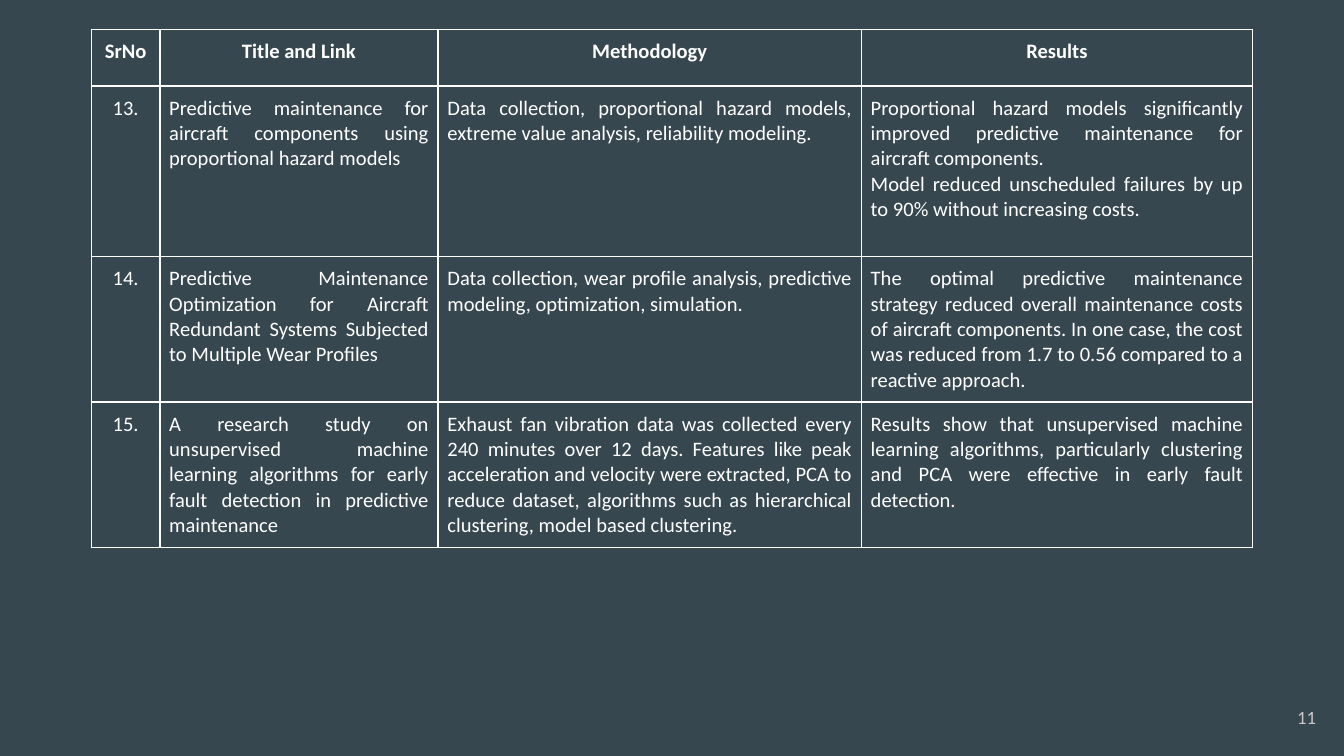
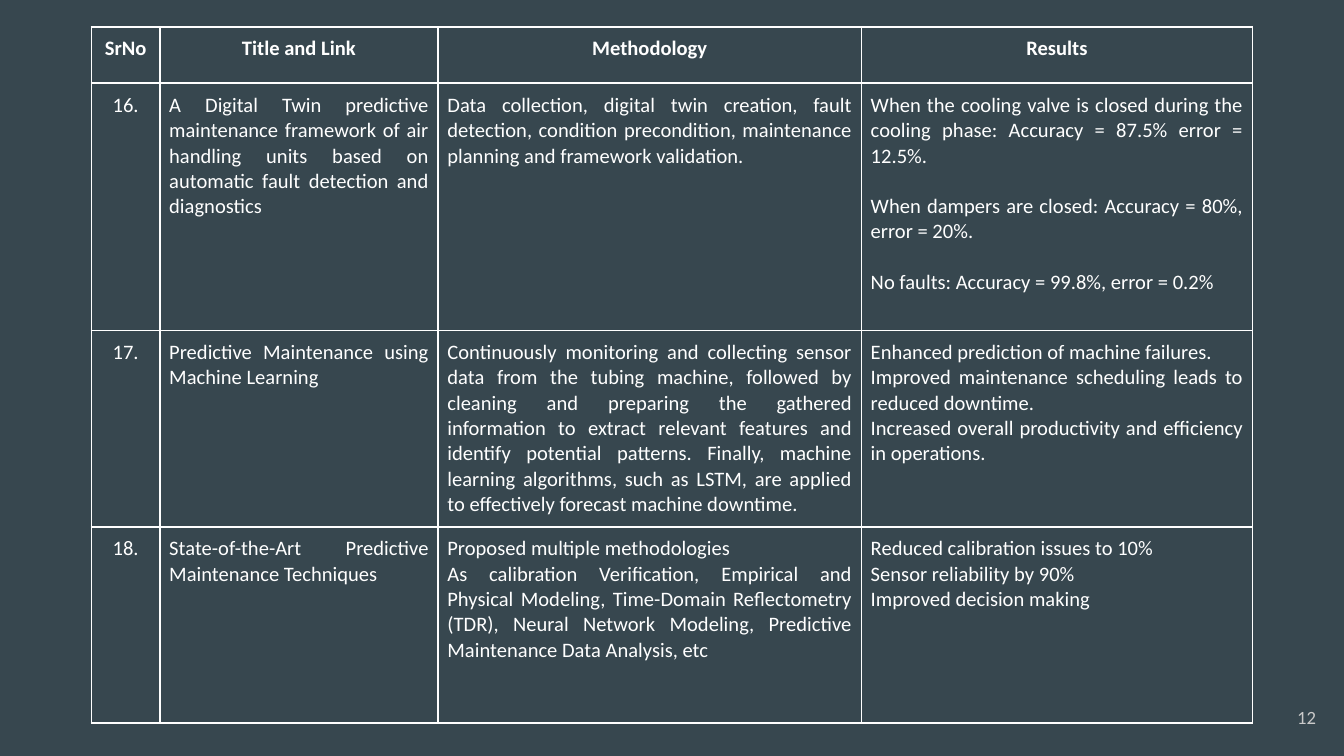
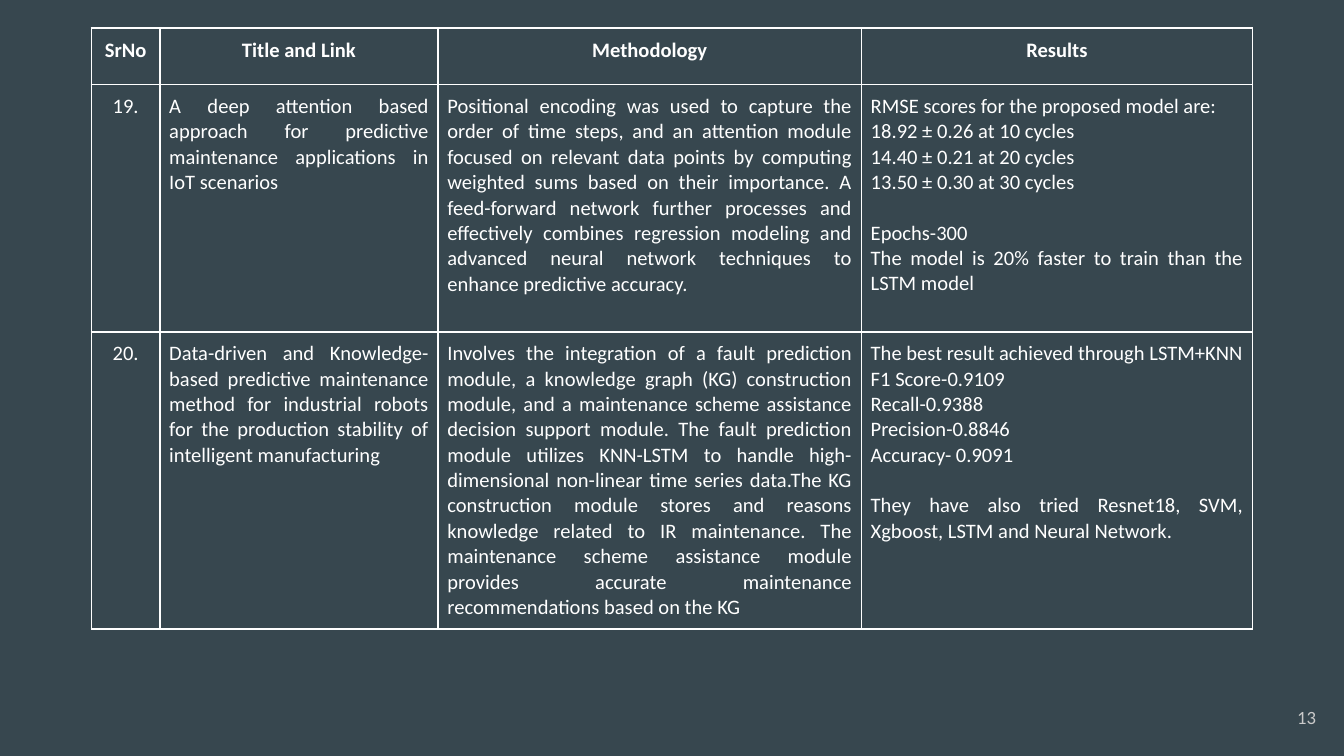
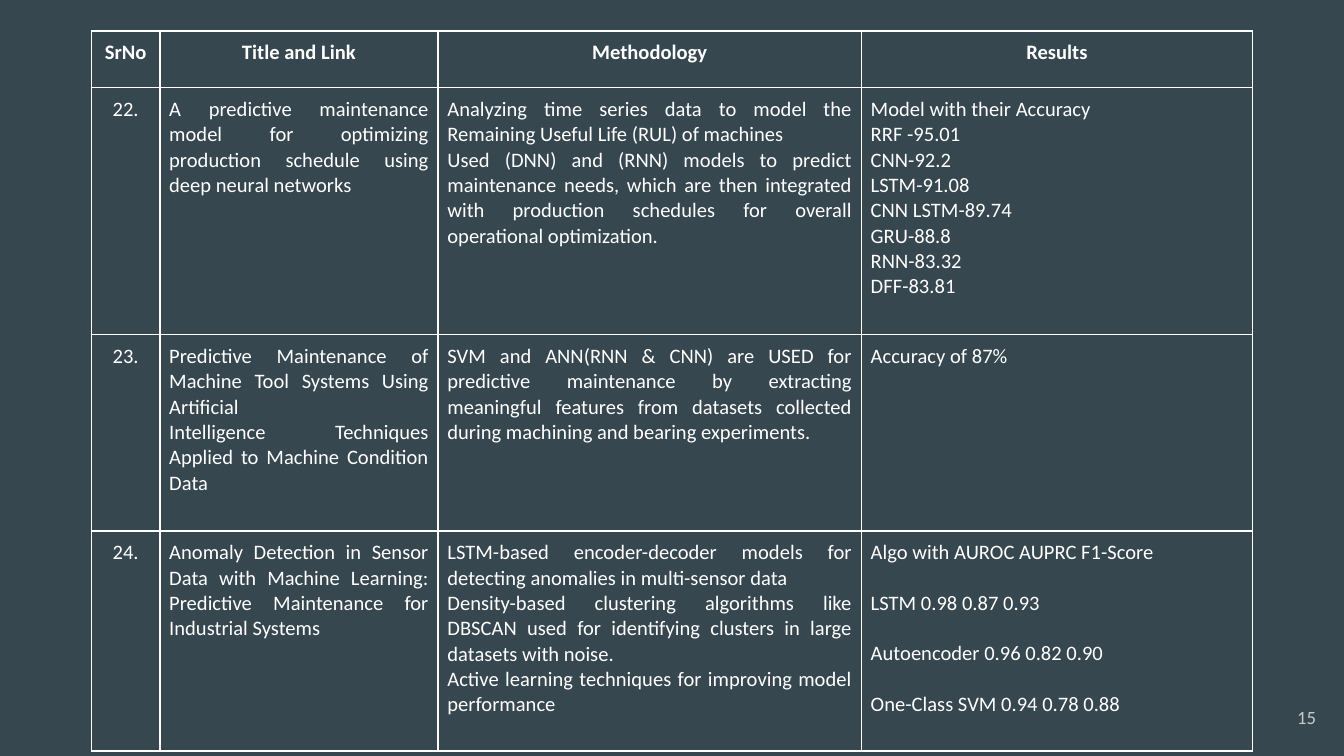
from dataclasses import dataclass

from lxml import etree
from pptx import Presentation
from pptx.dml.color import RGBColor
from pptx.enum.text import MSO_ANCHOR, PP_ALIGN
from pptx.oxml.ns import qn
from pptx.util import Inches, Pt

CENTER, JUSTIFY, RIGHT = PP_ALIGN.CENTER, PP_ALIGN.JUSTIFY, PP_ALIGN.RIGHT
MIDDLE = MSO_ANCHOR.MIDDLE
BLANK_LAYOUT = 6


@dataclass(frozen=True)
class Theme:
    background: str = "37474F"
    text: str = "FFFFFF"
    border: str = "FFFFFF"
    page_number: str = "CACACA"
    font: str = "Calibri"
    table_size: float = 11
    page_number_size: float = 10
    group_gap: float = 13.5
    border_width: float = 1
    cell_margin: float = 5


THEME = Theme()
PAGE_WIDTH = 10
PAGE_HEIGHT = PAGE_WIDTH * 9 / 16
TABLE_LEFT = 0.68
PAGE_NUMBER_BOX = (9.29, 5.12, 0.6, 0.43)
COLUMN_WIDTHS = (0.51, 2.07, 3.15, 2.91)
HEADER_HEIGHT = 0.42
HEADINGS = ("SrNo", "Title and Link", "Methodology", "Results")


@dataclass(frozen=True)
class Study:
    """One table row; a newline starts a paragraph, a double one a spaced group."""
    number: int
    height: float
    title: str
    methodology: str
    results: str


@dataclass(frozen=True)
class SurveyPage:
    number: int
    table_top: float
    studies: tuple


PAGES = (
    SurveyPage(11, 0.22, (
        Study(
            13, 1.27,
            "Predictive maintenance for aircraft components using proportional "
            "hazard models",
            "Data collection, proportional hazard models, extreme value analysis, "
            "reliability modeling.",
            "Proportional hazard models significantly improved predictive "
            "maintenance for aircraft components.\n"
            "Model reduced unscheduled failures by up to 90% without increasing "
            "costs."),
        Study(
            14, 1.08,
            "Predictive Maintenance Optimization for Aircraft Redundant Systems "
            "Subjected to Multiple Wear Profiles",
            "Data collection, wear profile analysis, predictive modeling, "
            "optimization, simulation.",
            "The optimal predictive maintenance strategy reduced overall "
            "maintenance costs of aircraft components. In one case, the cost was "
            "reduced from 1.7 to 0.56 compared to a reactive approach."),
        Study(
            15, 1.08,
            "A research study on unsupervised machine learning algorithms for "
            "early fault detection in predictive maintenance",
            "Exhaust fan vibration data was collected every 240 minutes over 12 "
            "days. Features like peak acceleration and velocity were extracted, "
            "PCA to reduce dataset, algorithms such as hierarchical clustering, "
            "model based clustering.",
            "Results show that unsupervised machine learning algorithms, "
            "particularly clustering and PCA were effective in early fault "
            "detection."),
    )),
    SurveyPage(12, 0.2, (
        Study(
            16, 1.84,
            "A Digital Twin predictive maintenance framework of air handling "
            "units based on automatic fault detection and diagnostics",
            "Data collection, digital twin creation, fault detection, condition "
            "precondition, maintenance planning and framework validation.",
            "When the cooling valve is closed during the cooling phase: "
            "Accuracy = 87.5% error = 12.5%.\n\n"
            "When dampers are closed: Accuracy = 80%, error = 20%.\n\n"
            "No faults: Accuracy = 99.8%, error = 0.2%"),
        Study(
            17, 1.46,
            "Predictive Maintenance using Machine Learning",
            "Continuously monitoring and collecting sensor data from the tubing "
            "machine, followed by cleaning and preparing the gathered information "
            "to extract relevant features and identify potential patterns. "
            "Finally, machine learning algorithms, such as LSTM, are applied to "
            "effectively forecast machine downtime.",
            "Enhanced prediction of machine failures.\n"
            "Improved maintenance scheduling leads to reduced downtime.\n"
            "Increased overall productivity and efficiency in operations."),
        Study(
            18, 1.46,
            "State-of-the-Art Predictive Maintenance Techniques",
            "Proposed multiple methodologies\n"
            "As calibration Verification, Empirical and Physical Modeling, "
            "Time-Domain Reflectometry (TDR), Neural Network Modeling, Predictive "
            "Maintenance Data Analysis, etc",
            "Reduced calibration issues to 10%\n"
            "Sensor reliability by 90%\n"
            "Improved decision making"),
    )),
    SurveyPage(13, 0.21, (
        Study(
            19, 1.84,
            "A deep attention based approach for predictive maintenance "
            "applications in IoT scenarios",
            "Positional encoding was used to capture the order of time steps, and "
            "an attention module focused on relevant data points by computing "
            "weighted sums based on their importance. A feed-forward network "
            "further processes and effectively combines regression modeling and "
            "advanced neural network techniques to enhance predictive accuracy.",
            "RMSE scores for the proposed model are:\n"
            "18.92 ± 0.26 at 10 cycles\n"
            "14.40 ± 0.21 at 20 cycles\n"
            "13.50 ± 0.30 at 30 cycles\n\n"
            "Epochs-300\n"
            "The model is 20% faster to train than the LSTM model"),
        Study(
            20, 2.21,
            "Data-driven and Knowledge-based predictive maintenance method for "
            "industrial robots for the production stability of intelligent "
            "manufacturing",
            "Involves the integration of a fault prediction module, a knowledge "
            "graph (KG) construction module, and a maintenance scheme assistance "
            "decision support module. The fault prediction module utilizes "
            "KNN-LSTM to handle high-dimensional non-linear time series data.The "
            "KG construction module stores and reasons knowledge related to IR "
            "maintenance. The maintenance scheme assistance module provides "
            "accurate maintenance recommendations based on the KG",
            "The best result achieved through LSTM+KNN\n"
            "F1 Score-0.9109\n"
            "Recall-0.9388\n"
            "Precision-0.8846\n"
            "Accuracy- 0.9091\n\n"
            "They have also tried Resnet18, SVM, Xgboost, LSTM and Neural "
            "Network."),
    )),
    SurveyPage(15, 0.23, (
        Study(
            22, 1.84,
            "A predictive maintenance model for optimizing production schedule "
            "using deep neural networks",
            "Analyzing time series data to model the Remaining Useful Life (RUL) "
            "of machines\n"
            "Used (DNN) and (RNN) models to predict maintenance needs, which are "
            "then integrated with production schedules for overall operational "
            "optimization.",
            "Model with their Accuracy\n"
            "RRF -95.01\n"
            "CNN-92.2\n"
            "LSTM-91.08\n"
            "CNN LSTM-89.74\n"
            "GRU-88.8\n"
            "RNN-83.32\n"
            "DFF-83.81"),
        Study(
            23, 1.46,
            "Predictive Maintenance of Machine Tool Systems Using Artificial\n"
            "Intelligence Techniques Applied to Machine Condition Data",
            "SVM and ANN(RNN & CNN) are USED for predictive maintenance by "
            "extracting meaningful features from datasets collected during "
            "machining and bearing experiments.",
            "Accuracy of 87%"),
        Study(
            24, 1.64,
            "Anomaly Detection in Sensor Data with Machine Learning: Predictive "
            "Maintenance for Industrial Systems",
            "LSTM-based encoder-decoder models for detecting anomalies in "
            "multi-sensor data\n"
            "Density-based clustering algorithms like DBSCAN used for identifying "
            "clusters in large datasets with noise.\n"
            "Active learning techniques for improving model performance",
            "Algo with AUROC AUPRC F1-Score\n\n"
            "LSTM 0.98 0.87 0.93\n\n"
            "Autoencoder 0.96 0.82 0.90\n\n"
            "One-Class SVM 0.94 0.78 0.88"),
    )),
)


def write_text(frame, text, align, size, color, bold=False):
    first = True
    for group in text.split("\n\n"):
        for position, line in enumerate(group.split("\n")):
            para = frame.paragraphs[0] if first else frame.add_paragraph()
            para.text = line
            para.alignment = align
            if position == 0 and not first:
                para.space_before = Pt(THEME.group_gap)
            para.font.name = THEME.font
            para.font.size = Pt(size)
            para.font.bold = bold
            para.font.color.rgb = RGBColor.from_string(color)
            first = False


def set_borders(cell):
    properties = cell._tc.get_or_add_tcPr()
    for side in ("a:lnL", "a:lnR", "a:lnT", "a:lnB"):
        line = etree.SubElement(properties, qn(side), w=str(Pt(THEME.border_width)))
        fill = etree.SubElement(line, qn("a:solidFill"))
        etree.SubElement(fill, qn("a:srgbClr"), val=THEME.border)


def fill_cell(cell, text, align, bold):
    set_borders(cell)
    cell.fill.background()
    margin = Pt(THEME.cell_margin)
    cell.margin_left = cell.margin_right = margin
    cell.margin_top = cell.margin_bottom = margin
    write_text(cell.text_frame, text, align, THEME.table_size, THEME.text, bold)


def add_study_table(page, left, top, studies):
    rows = [HEADINGS] + [
        (f"{study.number}.", study.title, study.methodology, study.results)
        for study in studies]
    heights = [HEADER_HEIGHT] + [study.height for study in studies]
    table = page.shapes.add_table(
        len(rows), len(HEADINGS), Inches(left), Inches(top),
        Inches(sum(COLUMN_WIDTHS)), Inches(sum(heights))).table
    table.horz_banding = False
    for column, width in zip(table.columns, COLUMN_WIDTHS):
        column.width = Inches(width)
    for row_index, (texts, height) in enumerate(zip(rows, heights)):
        table.rows[row_index].height = Inches(height)
        is_header = row_index == 0
        for column_index, text in enumerate(texts):
            align = CENTER if is_header or column_index == 0 else JUSTIFY
            fill_cell(table.cell(row_index, column_index), text, align, is_header)


def add_page_number(page, box, number):
    frame = page.shapes.add_textbox(*map(Inches, box)).text_frame
    frame.word_wrap = True
    frame.vertical_anchor = MIDDLE
    frame.margin_left = frame.margin_right = Inches(0.1)
    frame.margin_top = frame.margin_bottom = Inches(0.1)
    write_text(frame, str(number), RIGHT, THEME.page_number_size, THEME.page_number)


def add_survey_page(deck, survey):
    page = deck.slides.add_slide(deck.slide_layouts[BLANK_LAYOUT])
    add_study_table(page, TABLE_LEFT, survey.table_top, survey.studies)
    add_page_number(page, PAGE_NUMBER_BOX, survey.number)


def main():
    deck = Presentation()
    deck.slide_width, deck.slide_height = Inches(PAGE_WIDTH), Inches(PAGE_HEIGHT)
    backdrop = deck.slide_master.background.fill
    backdrop.solid()
    backdrop.fore_color.rgb = RGBColor.from_string(THEME.background)
    for survey in PAGES:
        add_survey_page(deck, survey)
    deck.save("out.pptx")


if __name__ == "__main__":
    main()
